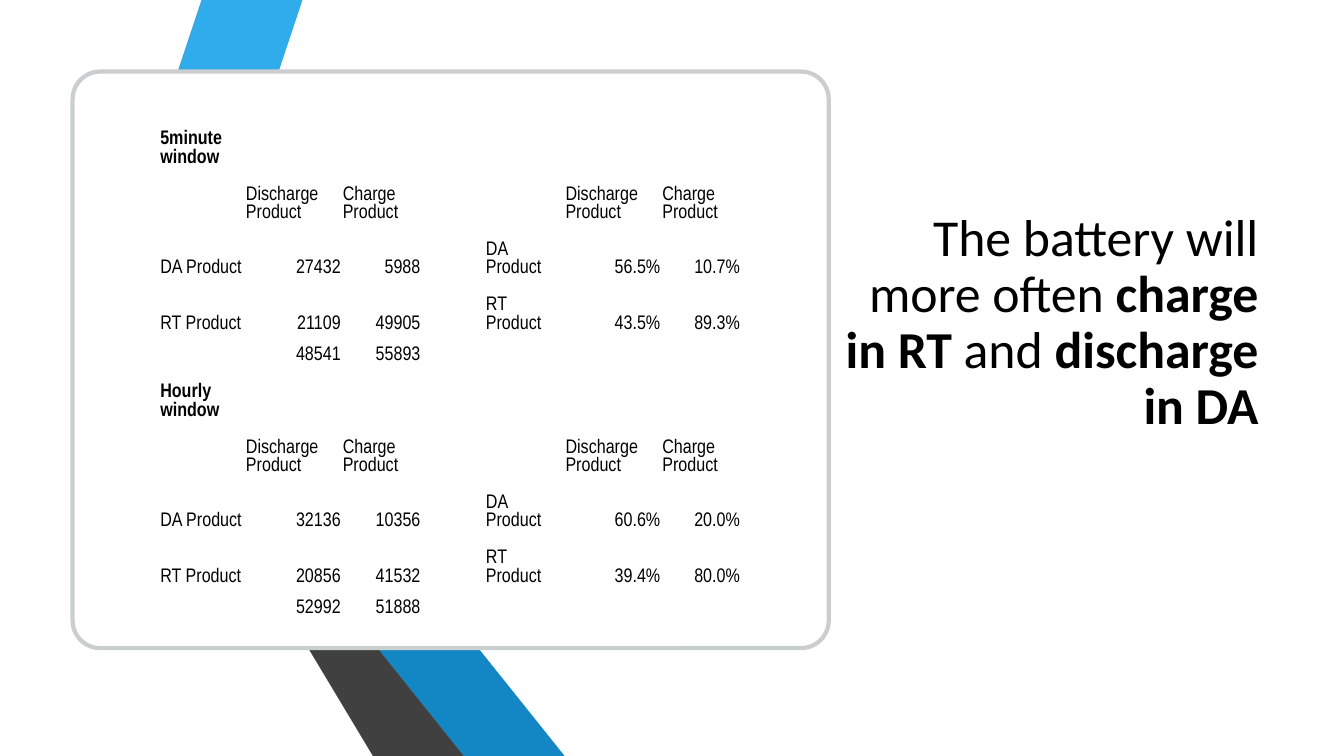
from dataclasses import dataclass

from pptx import Presentation
from pptx import util as u
from pptx.dml import color
from pptx.enum import shapes, text

COLORS = {
    "sky": "30ACEC",
    "gray": "595959",
    "black": "262626",
    "navy": "0C5A82",
    "blue": "1287C3",
    "charcoal": "404040",
    "white": "FFFFFF",
    "border": "CBCECF",
    "text": "000000",
}


@dataclass(frozen=True)
class Ribbon:
    color: str
    points: tuple[tuple[float, float], ...]


@dataclass(frozen=True)
class Window:
    title: str
    day_ahead: tuple[int, int]
    real_time: tuple[int, int]


RIBBONS = (
    Ribbon("sky", ((1.45, 2.94), (1.84, 3.04), (2.61, -0.01), (2.2, -0.01))),
    Ribbon("gray", ((1.36, 2.92), (2.1, -0.01), (1.68, -0.01), (0.97, 2.82))),
    Ribbon("black", ((0.97, 2.82), (3.79, 7.5), (3.92, 7.5))),
    Ribbon("navy", ((5.1, 7.5), (1.45, 2.94), (4.96, 7.5))),
    Ribbon("blue", ((1.45, 2.94), (5.1, 7.5), (6.45, 7.5), (1.84, 3.04))),
    Ribbon("charcoal", ((4.89, 7.5), (1.43, 3.01), (1.36, 2.92), (0.97, 2.82), (3.92, 7.5))),
)
WINDOWS = (
    Window("5minute window", (27432, 5988), (21109, 49905)),
    Window("Hourly window", (32136, 10356), (20856, 41532)),
)
HEADERS = ["Discharge Product", "Charge Product"]
COLUMN_WIDTHS = (0.85, 0.96, 0.79, 0.63, 0.79, 0.96, 0.79)
WINDOW_ROW_HEIGHTS = (0.55, 0.55, 0.55, 0.55, 0.31)
TITLE_SPANS = (
    ("The battery will more often ", False),
    ("charge in RT ", True),
    ("and ", False),
    ("discharge in DA", True),
)


def rgb(name: str) -> color.RGBColor:
    return color.RGBColor.from_string(COLORS[name])


def fill_shape(shape, name: str) -> None:
    shape.shadow.inherit = False
    shape.fill.solid()
    shape.fill.fore_color.rgb = rgb(name)


def draw_ribbon(page, ribbon: Ribbon) -> None:
    start, *rest = ribbon.points
    builder = page.shapes.build_freeform(*start, scale=u.Inches(1))
    builder.add_line_segments(rest, close=True)
    shape = builder.convert_to_shape()
    fill_shape(shape, ribbon.color)
    shape.line.fill.background()


def draw_panel(page) -> None:
    panel = page.shapes.add_shape(
        shapes.MSO_SHAPE.ROUNDED_RECTANGLE,
        u.Inches(0.72), u.Inches(0.71), u.Inches(7.5), u.Inches(5.72),
    )
    panel.adjustments[0] = 0.048
    fill_shape(panel, "white")
    panel.line.color.rgb = rgb("border")
    panel.line.width = u.Pt(3)


def draw_title(page) -> None:
    box = page.shapes.add_textbox(u.Inches(8.14), u.Inches(0.71), u.Inches(4.44), u.Inches(3.66))
    frame = box.text_frame
    frame.word_wrap = True
    frame.vertical_anchor = text.MSO_ANCHOR.BOTTOM
    para = frame.paragraphs[0]
    para.alignment = text.PP_ALIGN.RIGHT
    para.line_spacing = 0.9
    para.font.name = "Calibri"
    para.font.size = u.Pt(37)
    para.font.color.rgb = rgb("text")
    for words, bold in TITLE_SPANS:
        span = para.add_run()
        span.text = words
        span.font.bold = bold


def window_rows(window: Window) -> list[list[str]]:
    totals = [sum(pair) for pair in zip(window.day_ahead, window.real_time)]
    rows = [[window.title] + [""] * 6, ["", *HEADERS, "", "", *HEADERS]]
    for label, counts in (("DA Product", window.day_ahead), ("RT Product", window.real_time)):
        shares = [f"{count / total:.1%}" for count, total in zip(counts, totals)]
        rows.append([label, *map(str, counts), "", label, *shares])
    rows.append(["", *map(str, totals)] + [""] * 4)
    return rows


def fill_cell(cell, words: str, bold: bool) -> None:
    cell.fill.background()
    cell.vertical_anchor = text.MSO_ANCHOR.BOTTOM
    cell.margin_left = cell.margin_right = cell.margin_top = u.Inches(0.01)
    cell.margin_bottom = 0
    cell.text = words
    para = cell.text_frame.paragraphs[0]
    if words[:1].isdigit() and not bold:
        para.alignment = text.PP_ALIGN.RIGHT
    para.font.name = "Arial Narrow"
    para.font.size = u.Pt(14)
    para.font.bold = bold
    para.font.color.rgb = rgb("text")


def draw_table(page) -> None:
    rows = [row for window in WINDOWS for row in window_rows(window)]
    heights = WINDOW_ROW_HEIGHTS * len(WINDOWS)
    table = page.shapes.add_table(
        len(rows), len(COLUMN_WIDTHS),
        u.Inches(1.58), u.Inches(1.11),
        u.Inches(sum(COLUMN_WIDTHS)), u.Inches(sum(heights)),
    ).table
    table.first_row = table.horz_banding = False
    for column, width in zip(table.columns, COLUMN_WIDTHS):
        column.width = u.Inches(width)
    titles = {window.title for window in WINDOWS}
    for table_row, height, row in zip(table.rows, heights, rows):
        table_row.height = u.Inches(height)
        for cell, words in zip(table_row.cells, row):
            fill_cell(cell, words, words in titles)


def main() -> None:
    deck = Presentation()
    deck.slide_width = u.Inches(13.33)
    deck.slide_height = u.Inches(7.5)
    page = deck.slides.add_slide(deck.slide_layouts[6])
    draw_title(page)
    for ribbon in RIBBONS:
        draw_ribbon(page, ribbon)
    draw_panel(page)
    draw_table(page)
    deck.save("out.pptx")


if __name__ == "__main__":
    main()
